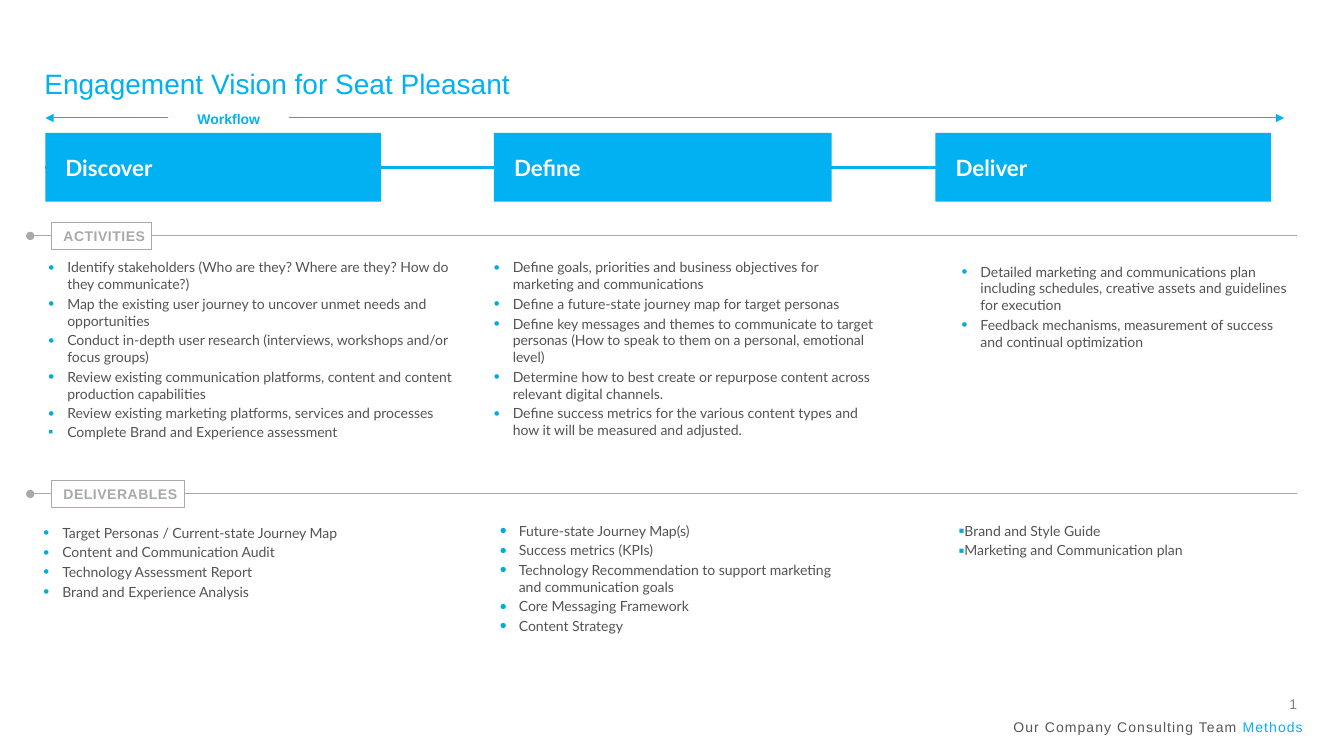
from lxml.etree import SubElement
from pptx import Presentation
from pptx.dml.color import RGBColor
from pptx.enum.shapes import MSO_CONNECTOR, MSO_SHAPE
from pptx.enum.text import MSO_ANCHOR, MSO_AUTO_SIZE, PP_ALIGN
from pptx.oxml.ns import qn
from pptx.util import Pt

CYAN = RGBColor(0x01, 0xB1, 0xF2)
BULLET = RGBColor(0x02, 0xAB, 0xD9)
GREY = RGBColor(0xA6, 0xAA, 0xA9)
NUMBER_GREY = RGBColor(0x80, 0x80, 0x80)
FOOTER_GREY = RGBColor(0x57, 0x58, 0x55)
BODY = RGBColor(0x53, 0x53, 0x53)
WHITE = RGBColor(0xFF, 0xFF, 0xFF)

# Content
TITLE = "Engagement Vision for Seat Pleasant"
PHASES = [("Discover", 32.4, 239.8), ("Define", 352.8, 241.2), ("Deliver", 668.2, 239.8)]
SECTIONS = [("ACTIVITIES", 168.5, 71.3), ("DELIVERABLES", 352.8, 95)]  # label, line y, width
FOOTER = [("Our Company Consulting Team ", FOOTER_GREY), ("Methods", CYAN)]

# Bullet styles: character, size %, hanging indent, space before, line spacing
DOT = ("•", 120, 13.5, 2, 1.0)
BIG_DOT = ("•", 140, 13.5, 2, 1.0)
SQUARE = ("▪", 120, 0, 2, 1.0)
SMALL_SQUARE = ("▪", 100, 13.5, 0, 1.1)

# Left, top, width, height, then items grouped by bullet style
LISTS = [
    (34.6, 185, 297.4, 158.4, [
        (DOT, [
            "Identify stakeholders (Who are they? Where are they? How do they communicate?)",
            "Map the existing user journey to uncover unmet needs and opportunities",
            "Conduct in-depth user research (interviews, workshops and/or focus groups)",
            "Review existing communication platforms, content and content production capabilities",
            "Review existing marketing platforms, services and processes",
        ]),
        (SMALL_SQUARE, ["Complete Brand and Experience assessment"]),
    ]),
    (352.8, 185, 271.4, 162.7, [(DOT, [
        "Define goals, priorities and business objectives for marketing and communications",
        "Define a future-state journey map for target personas",
        "Define key messages and themes to communicate to target personas "
        "(How to speak to them on a personal, emotional level)",
        "Determine how to best create or repurpose content across relevant digital channels.",
        "Define success metrics for the various content types and how it will be "
        "measured and adjusted.",
    ])]),
    (686.9, 187.9, 239.8, 62.6, [(DOT, [
        "Detailed marketing and communications plan including schedules, "
        "creative assets and guidelines for execution",
        "Feedback mechanisms, measurement of success and continual optimization",
    ])]),
    (31, 374.4, 298, 68.4, [(DOT, [
        "Target Personas / Current-state Journey Map",
        "Content and Communication Audit",
        "Technology Assessment Report",
        "Brand and Experience Analysis",
    ])]),
    (357.1, 373, 239, 80.6, [(BIG_DOT, [
        "Future-state Journey Map(s)",
        "Success metrics (KPIs)",
        "Technology Recommendation to support marketing and communication goals",
        "Core Messaging Framework",
        "Content Strategy",
    ])]),
    (684.7, 373, 239.8, 40.3, [(SQUARE, [
        "Brand and Style Guide",
        "Marketing and Communication plan",
    ])]),
]

prs = Presentation()
prs.slide_width, prs.slide_height = Pt(960), Pt(540)
s = prs.slides.add_slide(prs.slide_layouts[5])


def setup_frame(sp, anchor=MSO_ANCHOR.MIDDLE, inset=0):
    tf = sp.text_frame
    tf.word_wrap = True
    tf.auto_size = MSO_AUTO_SIZE.NONE
    tf.vertical_anchor = anchor
    tf.margin_left = Pt(inset)
    tf.margin_right = tf.margin_top = tf.margin_bottom = 0
    return tf


def add_run(p, text, color, size=10, font="Arial", bold=False, spacing=0):
    r = p.add_run()
    r.text = text
    r.font.size, r.font.name, r.font.bold = Pt(size), font, bold
    r.font.color.rgb = color
    if spacing:
        r.font._element.set("spc", str(int(spacing * 100)))


def add_text(x, y, w, h, align=PP_ALIGN.LEFT, anchor=MSO_ANCHOR.MIDDLE):
    tf = setup_frame(s.shapes.add_textbox(Pt(x), Pt(y), Pt(w), Pt(h)), anchor)
    tf.paragraphs[0].alignment = align
    return tf


def add_box(x, y, w, h, fill, line=None, inset=0, align=PP_ALIGN.LEFT):
    sp = s.shapes.add_shape(MSO_SHAPE.RECTANGLE, Pt(x), Pt(y), Pt(w), Pt(h))
    sp.shadow.inherit = False
    sp.fill.solid()
    sp.fill.fore_color.rgb = fill
    if line is None:
        sp.line.fill.background()
    else:
        sp.line.color.rgb, sp.line.width = line, Pt(0.5)
    setup_frame(sp, inset=inset).paragraphs[0].alignment = align
    return sp


def add_line(x1, x2, y, color, width, head=None, tail=None):
    c = s.shapes.add_connector(MSO_CONNECTOR.STRAIGHT, Pt(x1), Pt(y), Pt(x2), Pt(y))
    c.line.color.rgb, c.line.width = color, Pt(width)
    ln = c.line._get_or_add_ln()
    for tag, kind in (("a:headEnd", head), ("a:tailEnd", tail)):
        if kind:
            SubElement(ln, qn(tag), type=kind)
    SubElement(c._element.spPr, qn("a:effectLst"))
    return c


def add_bullet(p, text, style):
    char, percent, indent, before, spacing = style
    p.space_before, p.line_spacing = Pt(before), spacing
    pPr = p._p.get_or_add_pPr()
    pPr.set("marL", str(Pt(indent)))
    pPr.set("indent", str(-Pt(indent)))
    SubElement(SubElement(pPr, qn("a:buClr")), qn("a:srgbClr"), val=str(BULLET))
    SubElement(pPr, qn("a:buSzPct"), val=str(percent * 1000))
    SubElement(pPr, qn("a:buFont"), typeface="Arial")
    SubElement(pPr, qn("a:buChar"), char=char)
    add_run(p, text, BODY, font="Lato")


# Title
title = s.shapes.title
title.left, title.top, title.width, title.height = Pt(31.7), Pt(47.5), Pt(448), Pt(26.6)
p = setup_frame(title, MSO_ANCHOR.TOP).paragraphs[0]
p.alignment = PP_ALIGN.LEFT
add_run(p, TITLE, CYAN, 20)

# Phases, with one line running behind all of them
phase_line = add_line(32.4, 908, 119.5, CYAN, 2)
boxes = []
for name, x, w in PHASES:
    sp = add_box(x, 95, w, 49, CYAN, inset=14.4)
    add_run(sp.text_frame.paragraphs[0], name, WHITE, 16, "Lato", True)
    boxes.append(sp)
phase_line.begin_connect(boxes[0], 1)
phase_line.end_connect(boxes[-1], 3)

# Workflow arrow, interrupted by its label
add_line(32.4, 917.3, 84.3, CYAN, 0.75, "triangle", "triangle")
sp = add_box(120.2, 79.2, 86.4, 10.8, WHITE, align=PP_ALIGN.CENTER)
add_run(sp.text_frame.paragraphs[0], "Workflow", CYAN, bold=True)

# Section dividers
for label, y, w in SECTIONS:
    add_line(21.6, 926.6, y, GREY, 0.75, head="oval")
    sp = add_box(36.7, y - 9.7, w, 19.4, WHITE, GREY, inset=8.6)
    add_run(sp.text_frame.paragraphs[0], label, GREY, bold=True, spacing=0.4)

# Bulleted lists
for x, y, w, h, groups in LISTS:
    tf = add_text(x, y, w, h, anchor=MSO_ANCHOR.TOP)
    items = [(text, style) for style, texts in groups for text in texts]
    for i, (text, style) in enumerate(items):
        add_bullet(tf.add_paragraph() if i else tf.paragraphs[0], text, style)

# Page number and footer
add_run(add_text(910, 497.5, 16.6, 10.8, PP_ALIGN.RIGHT).paragraphs[0], "1", NUMBER_GREY)
p = add_text(700, 514, 230.6, 10.8, PP_ALIGN.RIGHT).paragraphs[0]
for text, color in FOOTER:
    add_run(p, text, color, spacing=0.8)

prs.save("out.pptx")
